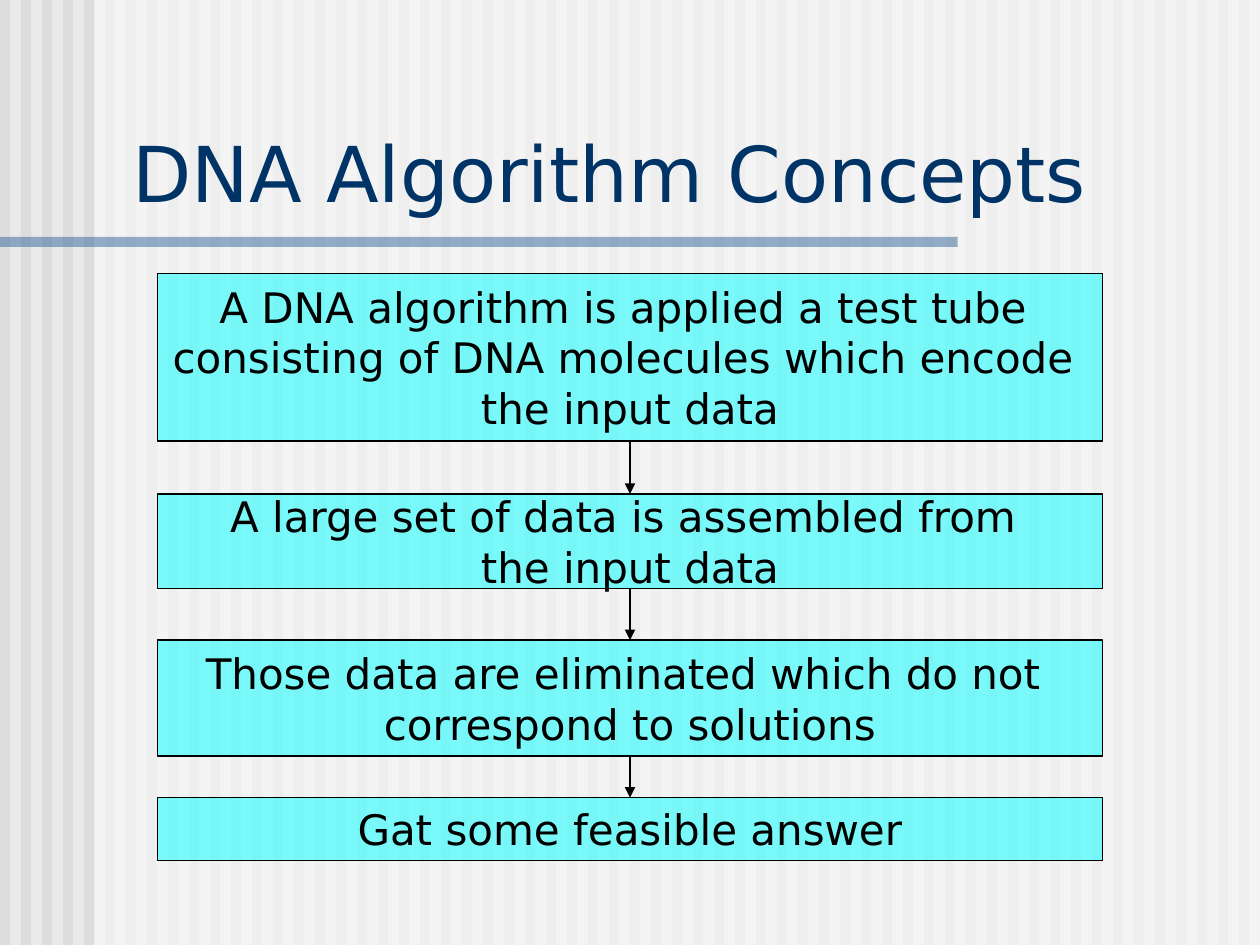
from dataclasses import dataclass
from itertools import pairwise

from lxml import etree
from pptx import Presentation
from pptx.dml.color import RGBColor
from pptx.enum import shapes, text
from pptx.oxml.ns import qn
from pptx.util import Inches, Pt

COLOURS = {
    "background": "EAEAEA",
    "stripe": "DDDDDD",
    "veil": "FFFFFF",
    "rule": "336699",
    "title": "003366",
    "step": "00FFFF",
    "ink": "000000",
}
FONT = "DejaVu Sans"
STRIPE_COUNT = 60
STRIPES_PER_INCH = 6
STEP_LEFT, STEP_WIDTH = 1.25, 7.5


@dataclass
class Step:
    top: float
    height: float
    lines: list[str]


STEPS = [
    Step(2.17, 1.33, ["A DNA algorithm is applied a test tube ",
                      "consisting of DNA molecules which encode ",
                      "the input data"]),
    Step(3.92, 0.75, ["A large set of data is assembled from ", "the input data"]),
    Step(5.08, 0.92, ["Those data are eliminated which do not ",
                      "correspond to solutions"]),
    Step(6.33, 0.5, ["Gat some feasible answer"]),
]


def colour(name: str) -> RGBColor:
    return RGBColor.from_string(COLOURS[name])


def add_box(page, left: float, top: float, width: float, height: float,
            fill: str, opacity: int = 100):
    """Add a borderless rectangle; opacity is in percent."""
    box = page.shapes.add_shape(shapes.MSO_SHAPE.RECTANGLE, Inches(left),
                                Inches(top), Inches(width), Inches(height))
    box.shadow.inherit = False
    box.fill.solid()
    box.fill.fore_color.rgb = colour(fill)
    box.line.fill.background()
    if opacity < 100:
        value = box.fill._xPr.find(qn("a:solidFill"))[0]
        etree.SubElement(value, qn("a:alpha"), val=str(opacity * 1000))
    return box


def format_frame(frame, **values) -> None:
    margins = {"margin_left": Inches(0.1), "margin_right": Inches(0.1),
               "margin_top": Inches(0.05), "margin_bottom": Inches(0.05)}
    for name, value in (margins | values).items():
        setattr(frame, name, value)


def write(para, words: str, size: int, ink: str, alignment) -> None:
    para.alignment = alignment
    span = para.add_run()
    span.text = words
    for name, value in {"name": FONT, "size": Pt(size)}.items():
        setattr(span.font, name, value)
    span.font.color.rgb = colour(ink)


def add_step(page, step: Step):
    box = add_box(page, STEP_LEFT, step.top, STEP_WIDTH, step.height, "step", 50)
    box.line.color.rgb = colour("ink")
    box.line.width = Pt(0.75)
    frame = box.text_frame
    format_frame(frame, word_wrap=False, vertical_anchor=text.MSO_ANCHOR.MIDDLE)
    for index, line in enumerate(step.lines):
        para = frame.add_paragraph() if index else frame.paragraphs[0]
        write(para, line, 24, "ink", text.PP_ALIGN.CENTER)
    return box


def add_arrow(page, upper, lower) -> None:
    arrow = page.shapes.add_connector(shapes.MSO_CONNECTOR.STRAIGHT, 0, 0, 0, 0)
    arrow.begin_connect(upper, 2)
    arrow.end_connect(lower, 0)
    arrow.line.color.rgb = colour("ink")
    arrow.line.width = Pt(0.75)
    etree.SubElement(arrow.line._get_or_add_ln(), qn("a:tailEnd"), type="triangle")
    etree.SubElement(arrow._element.spPr, qn("a:effectLst"))


def add_title(page, words: str) -> None:
    title = page.shapes.title
    place = {"left": 0.95, "top": 0.94, "width": 8.93, "height": 0.84}
    for name, value in place.items():
        setattr(title, name, Inches(value))
    frame = title.text_frame
    format_frame(frame, word_wrap=True, auto_size=text.MSO_AUTO_SIZE.NONE,
                 vertical_anchor=text.MSO_ANCHOR.BOTTOM)
    write(frame.paragraphs[0], words, 44, "title", text.PP_ALIGN.LEFT)
    # Bring the title in front of the backdrop
    page.shapes._spTree.append(title._element)


def main() -> None:
    deck = Presentation()
    deck.slide_width, deck.slide_height = Inches(10), Inches(7.5)
    page = deck.slides.add_slide(deck.slide_layouts[5])

    # Striped backdrop, pale veil and title rule
    page.background.fill.solid()
    page.background.fill.fore_color.rgb = colour("background")
    for index in range(STRIPE_COUNT):
        add_box(page, index / STRIPES_PER_INCH, 0, 0.08, 7.5, "stripe")
    add_box(page, 0.75, 0, 9.25, 7.5, "veil", 50)
    add_box(page, 0, 1.88, 7.6, 0.08, "rule", 50)

    add_title(page, "DNA Algorithm Concepts")

    # Flow of steps joined by arrows
    boxes = [add_step(page, step) for step in STEPS]
    for upper, lower in pairwise(boxes):
        add_arrow(page, upper, lower)

    deck.save("out.pptx")


if __name__ == "__main__":
    main()
